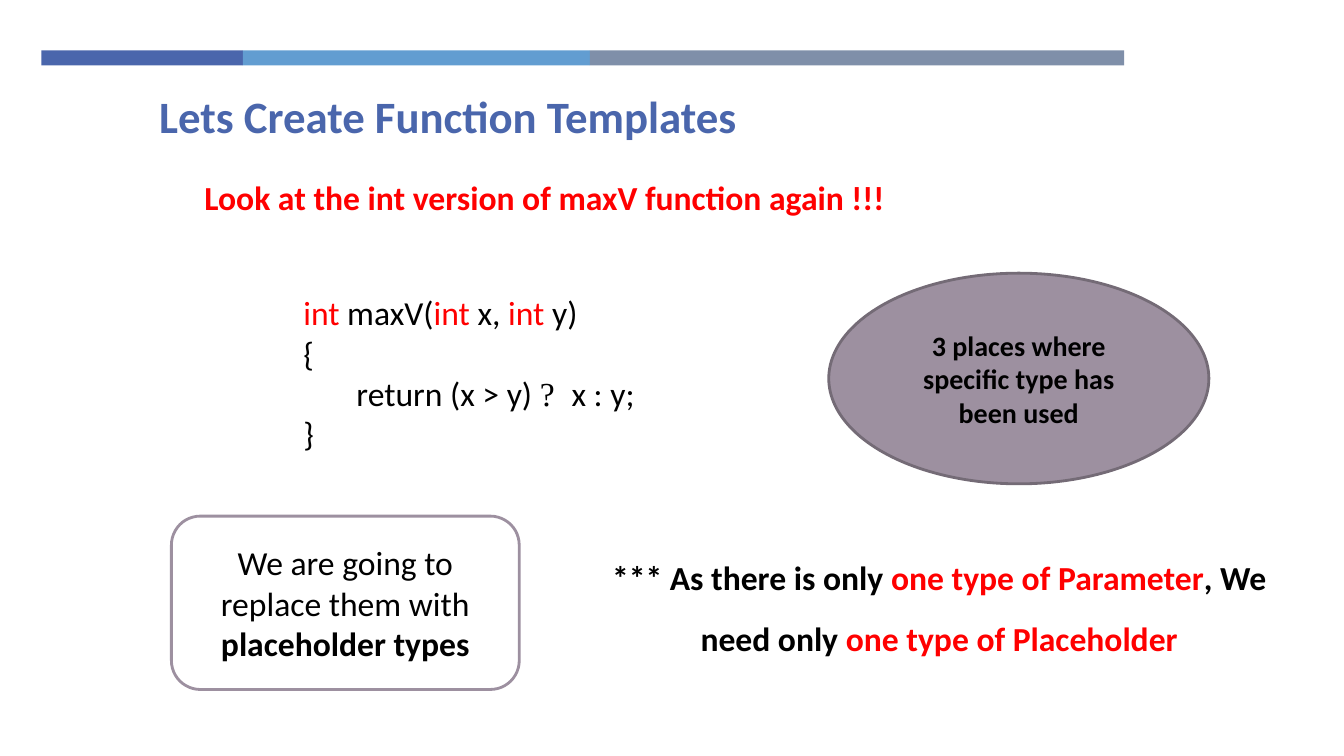
from dataclasses import dataclass

from pptx import Presentation
from pptx.dml.color import RGBColor
from pptx.enum.shapes import MSO_SHAPE
from pptx.enum.text import MSO_ANCHOR, PP_ALIGN
from pptx.util import Inches, Pt


@dataclass(frozen=True)
class Theme:
    font: str = "Calibri"
    symbol_font: str = "Times New Roman"
    blue: str = "4A66AC"
    sky: str = "629DD1"
    slate: str = "7F8FA9"
    red: str = "FF0000"
    black: str = "000000"
    white: str = "FFFFFF"
    mauve: str = "9D90A0"
    mauve_edge: str = "746B76"
    title_size: int = 32
    body_size: int = 24
    note_size: int = 20


@dataclass(frozen=True)
class Span:
    text: str
    color: str = Theme.black
    bold: bool = False
    font: str = Theme.font


class SlideBuilder:
    def __init__(self, deck, theme):
        self.theme = theme
        self.page = deck.slides.add_slide(deck.slide_layouts[6])

    def fill_text(self, box, lines, size, align=PP_ALIGN.LEFT, spacing=None):
        frame = box.text_frame
        frame.word_wrap = True
        for index, spans in enumerate(lines):
            para = frame.add_paragraph() if index else frame.paragraphs[0]
            para.alignment = align
            if spacing:
                para.line_spacing = spacing
            for span in spans:
                run = para.add_run()
                run.text = span.text
                run.font.name = span.font
                run.font.size = Pt(size)
                run.font.bold = span.bold
                run.font.color.rgb = RGBColor.from_string(span.color)

    def text(self, place, lines, size, **layout):
        box = self.page.shapes.add_textbox(*map(Inches, place))
        self.fill_text(box, lines, size, **layout)

    def shape(self, kind, place, fill, edge=None):
        shape = self.page.shapes.add_shape(kind, *map(Inches, place))
        shape.shadow.inherit = False
        shape.fill.solid()
        shape.fill.fore_color.rgb = RGBColor.from_string(fill)
        if edge:
            shape.line.color.rgb = RGBColor.from_string(edge)
            shape.line.width = Pt(2)
        else:
            shape.line.fill.background()
        return shape

    def callout(self, kind, place, fill, edge, spans, size):
        shape = self.shape(kind, place, fill, edge)
        shape.text_frame.vertical_anchor = MSO_ANCHOR.MIDDLE
        self.fill_text(shape, [spans], size, align=PP_ALIGN.CENTER)

    def color_bar(self, left, top, height, segments):
        for width, color in segments:
            self.shape(MSO_SHAPE.RECTANGLE, (left, top, width, height), color)
            left += width


def main():
    theme = Theme()
    deck = Presentation()
    deck.slide_width = Inches(13.33)
    deck.slide_height = Inches(7.5)
    slide = SlideBuilder(deck, theme)

    slide.color_bar(0.41, 0.5, 0.15, [(2, theme.blue), (3.44, theme.sky), (5.3, theme.slate)])

    slide.text(
        (1.48, 0.83, 8.29, 0.64),
        [[Span("Lets Create Function Templates", theme.blue, True)]],
        theme.title_size,
    )
    slide.text(
        (1.93, 1.71, 8.07, 0.5),
        [[Span("Look at the int version of maxV function again !!!", theme.red, True)]],
        theme.body_size,
    )

    code = [
        [
            Span("int ", theme.red),
            Span("maxV("),
            Span("int", theme.red),
            Span(" x, "),
            Span("int", theme.red),
            Span(" y)"),
        ],
        [Span("{")],
        [
            Span("       return (x > y) "),
            Span("?  ", font=theme.symbol_font),
            Span("x : y;"),
        ],
        [Span("}")],
    ]
    slide.text((2.91, 2.85, 4.72, 1.72), code, theme.body_size)

    slide.callout(
        MSO_SHAPE.OVAL,
        (8.22, 2.71, 3.77, 2.09),
        theme.mauve,
        theme.mauve_edge,
        [Span("3 places where specific type has been used", bold=True)],
        theme.note_size,
    )
    slide.callout(
        MSO_SHAPE.ROUNDED_RECTANGLE,
        (1.7, 5.12, 3.45, 1.72),
        theme.white,
        theme.mauve,
        [Span("We are going to replace them with "), Span("placeholder types", bold=True)],
        theme.body_size,
    )

    conclusion = [
        Span("*** As there is only ", bold=True),
        Span("one type of Parameter", theme.red, True),
        Span(", We need only ", bold=True),
        Span("one type of Placeholder", theme.red, True),
    ]
    slide.text(
        (5.96, 5.28, 6.71, 1.84),
        [conclusion],
        theme.body_size,
        align=PP_ALIGN.CENTER,
        spacing=1.5,
    )

    deck.save("out.pptx")


if __name__ == "__main__":
    main()
